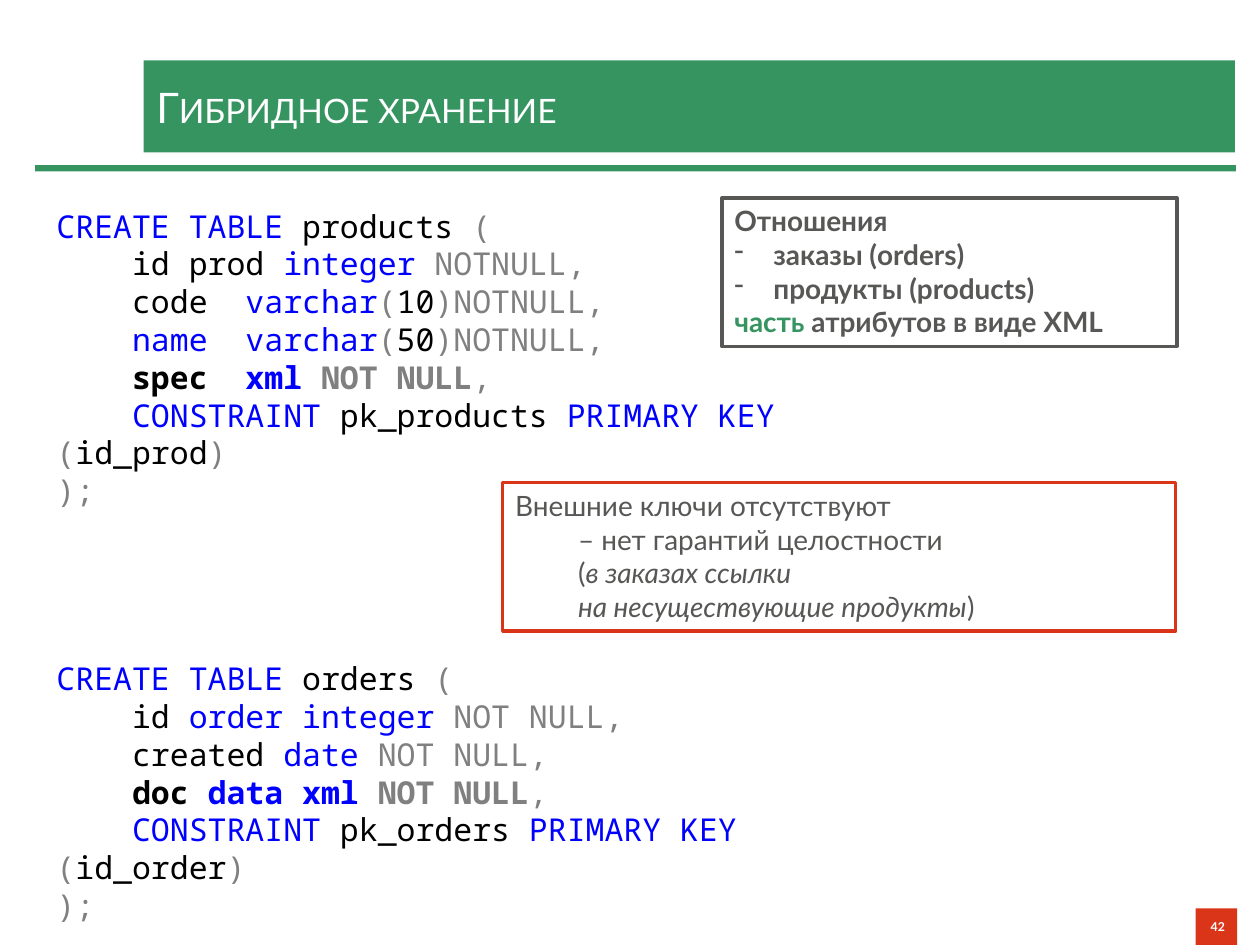
from lxml import etree
from pptx import Presentation
from pptx.dml.color import RGBColor
from pptx.enum.shapes import MSO_SHAPE
from pptx.enum.text import MSO_ANCHOR, MSO_AUTO_SIZE, PP_ALIGN
from pptx.oxml.ns import qn
from pptx.util import Inches, Pt

RECTANGLE = MSO_SHAPE.RECTANGLE
TOP, MIDDLE = MSO_ANCHOR.TOP, MSO_ANCHOR.MIDDLE
LEFT, RIGHT = PP_ALIGN.LEFT, PP_ALIGN.RIGHT
FIXED_SIZE = MSO_AUTO_SIZE.NONE

SLIDE_WIDTH, SLIDE_HEIGHT = Inches(10), Inches(7.5)
TITLE_ONLY = 5
TEXT_FONT, CODE_FONT = "Lato", "Noto Sans Mono"
COLORS = {
    "green": "369461",
    "red": "DB3519",
    "white": "FFFFFF",
    "text": "575756",
    "plain": "000000",
    "keyword": "0000FF",
    "muted": "808080",
}
CODE_INDENT = ("    ", "plain")

PRODUCT_COLUMNS = [
    [("id prod ", "plain"), ("integer ", "keyword"), ("NOTNULL,", "muted")],
    [("code\t", "plain"), ("varchar", "keyword"), ("(", "muted"),
     ("10", "plain"), (")NOTNULL,", "muted")],
    [("name\tvarchar", "keyword"), ("(", "muted"),
     ("50", "plain"), (")NOTNULL,", "muted")],
    [("spec\t", "plain", True), ("xml ", "keyword", True),
     ("NOT NULL", "muted", True), (",", "muted")],
]
ORDER_COLUMNS = [
    [("id ", "plain"), ("order integer ", "keyword"), ("NOT NULL,", "muted")],
    [("created ", "plain"), ("date ", "keyword"), ("NOT NULL,", "muted")],
    [("doc ", "plain", True), ("data xml ", "keyword", True),
     ("NOT NULL", "muted", True), (",", "muted")],
]


def rgb(name):
    return RGBColor.from_string(COLORS[name])


def area(left, top, width, height):
    """Turn percentages of the slide's size into lengths."""
    shares = (left, top, width, height)
    sides = (SLIDE_WIDTH, SLIDE_HEIGHT) * 2
    return [round(side * share / 100) for side, share in zip(sides, shares)]


def add_span(para, text, font=TEXT_FONT, size=16, color="text",
             bold=False, italic=False):
    span = para.add_run()
    span.text = text
    span.font.name = font
    span.font.size = Pt(size)
    span.font.bold = bold
    span.font.italic = italic
    span.font.color.rgb = rgb(color)
    return span


def next_para(frame, align=LEFT):
    """Return the empty first paragraph, or a new one after it."""
    first = frame.paragraphs[0]
    para = frame.add_paragraph() if first.runs else first
    para.alignment = align
    return para


def add_dash(para, indent=0.31):
    properties = para._p.get_or_add_pPr()
    properties.set("marL", str(Inches(indent)))
    properties.set("indent", str(-Inches(indent)))
    etree.SubElement(properties, qn("a:buChar")).set("char", "-")


def add_panel(slide, place, fill, outline=None, anchor=TOP):
    panel = slide.shapes.add_shape(RECTANGLE, *area(*place))
    panel.shadow.inherit = False
    panel.fill.solid()
    panel.fill.fore_color.rgb = rgb(fill)
    if outline:
        panel.line.color.rgb = rgb(outline)
        panel.line.width = Pt(2)
    else:
        panel.line.fill.background()
    panel.text_frame.word_wrap = True
    panel.text_frame.vertical_anchor = anchor
    return panel


def format_title(slide, text):
    title = slide.shapes.title
    title.left, title.top, title.width, title.height = area(
        11.4, 6.4, 86.6, 9.73)
    title.fill.solid()
    title.fill.fore_color.rgb = rgb("green")
    frame = title.text_frame
    frame.auto_size = FIXED_SIZE
    frame.vertical_anchor = MIDDLE
    frame.margin_top = frame.margin_bottom = Inches(0.12)
    span = add_span(next_para(frame), text, size=24, color="white")
    span.font._element.set("cap", "small")


def add_table_code(slide, place, table, key, columns):
    """Write the SQL that creates a table, one paragraph a line."""
    constraint = [
        ("CONSTRAINT ", "keyword"), (f"pk_{table} ", "plain"),
        ("PRIMARY KEY ", "keyword"), ("(", "muted"),
        (key, "plain"), (")", "muted"),
    ]
    lines = [
        [("CREATE TABLE", "keyword"), (f" {table} ", "plain"), ("(", "muted")],
        *([CODE_INDENT, *line] for line in [*columns, constraint]),
        [(");", "muted")],
    ]
    box = slide.shapes.add_textbox(*area(*place))
    box.text_frame.word_wrap = True
    for line in lines:
        para = next_para(box.text_frame)
        for text, color, *bold in line:
            add_span(para, text, font=CODE_FONT, size=18, color=color,
                     bold=bool(bold))


def add_relations_note(slide):
    frame = add_panel(slide, (57.3, 20.93, 36.1, 15.73),
                      "white", "text").text_frame
    add_span(next_para(frame), "Отношения", bold=True)
    for relation in ("заказы (orders)", "продукты (products)"):
        para = next_para(frame)
        add_dash(para)
        add_span(para, relation, bold=True)
    para = next_para(frame)
    add_span(para, "часть ", color="green", bold=True)
    add_span(para, "атрибутов в виде XML", bold=True)


def add_keys_note(slide):
    frame = add_panel(slide, (39.9, 51.07, 53.4, 15.73),
                      "white", "red").text_frame
    para = next_para(frame)
    add_span(para, "Внешние ключи отсутствуют ")
    para.add_line_break()
    add_span(para, "\t– нет гарантий целостности")
    para = next_para(frame)
    add_span(para, "\t(")
    add_span(para, "в заказах ссылки ", italic=True)
    para.add_line_break()
    add_span(para, "\tна несуществующие продукты", italic=True)
    add_span(para, ")")


def add_page_number(slide, number):
    panel = add_panel(slide, (94.9, 96.13, 3.3, 3.87), "red", anchor=MIDDLE)
    add_span(next_para(panel.text_frame, RIGHT), number,
             size=7, color="white", bold=True)


def main():
    deck = Presentation()
    deck.slide_width, deck.slide_height = SLIDE_WIDTH, SLIDE_HEIGHT
    slide = deck.slides.add_slide(deck.slide_layouts[TITLE_ONLY])
    format_title(slide, "Гибридное хранение")
    add_panel(slide, (2.8, 17.47, 95.3, 0.67), "green")
    add_page_number(slide, "42")
    add_table_code(slide, (3.5, 21.2, 66.7, 33.3),
                   "products", "id_prod", PRODUCT_COLUMNS)
    add_table_code(slide, (3.5, 69.1, 66.7, 29.3),
                   "orders", "id_order", ORDER_COLUMNS)
    add_relations_note(slide)
    add_keys_note(slide)
    deck.save("out.pptx")


if __name__ == "__main__":
    main()
